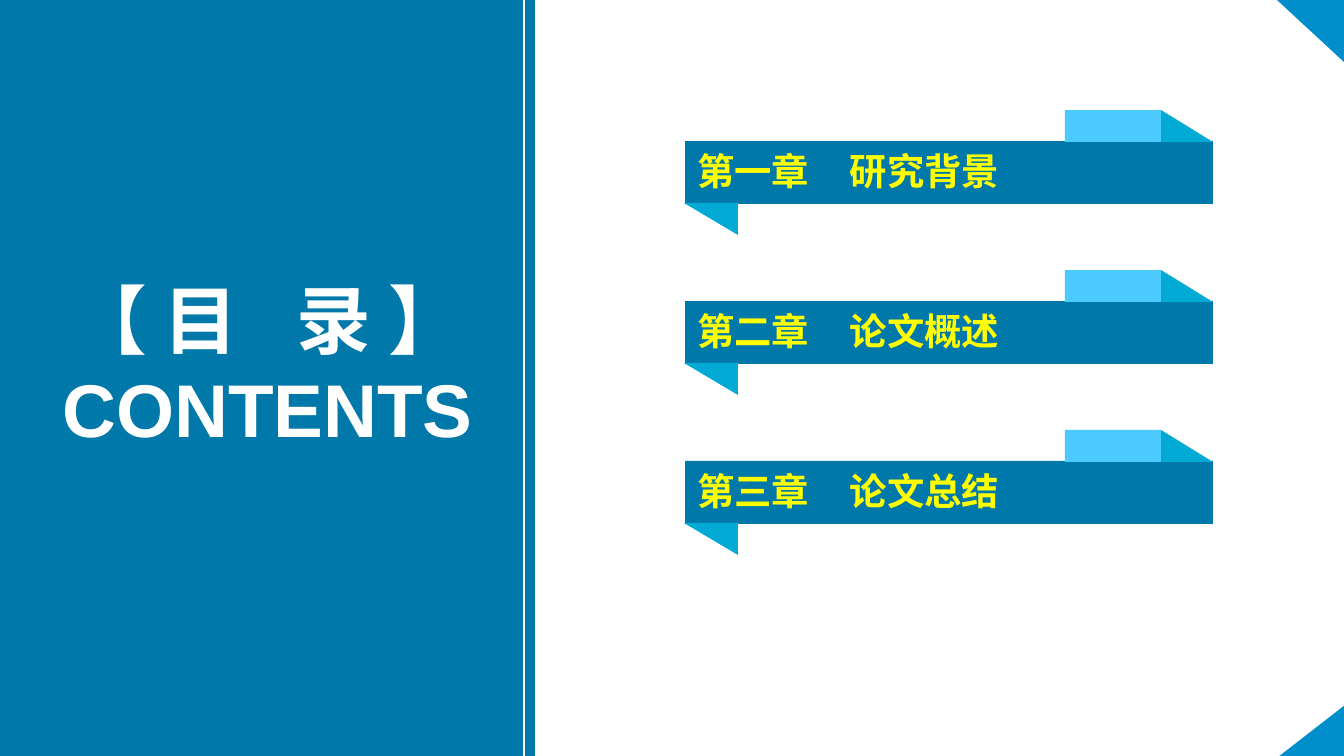
import pptx
import pptx.util
import pptx.dml.color
import pptx.enum.shapes
import pptx.enum.text
import pptx.oxml

RGB = pptx.dml.color.RGBColor
KIND = pptx.enum.shapes.MSO_SHAPE
ALIGN = pptx.enum.text.PP_ALIGN

DEEP = RGB(0x00, 0x78, 0xAA)
LIGHT = RGB(0x4B, 0xCA, 0xFF)
FOLD = RGB(0x00, 0xAA, 0xD4)
CORNER = RGB(0x00, 0x8F, 0xCA)
YELLOW = RGB(0xFF, 0xFF, 0x00)
WHITE = RGB(0xFF, 0xFF, 0xFF)

SCALE = 914400 / 134.4
WIDE, HIGH = 1344, 756
LEFT, TOP, STEP = 685, 141, 160
ITEMS = [("第一章", "研究背景"), ("第二章", "论文概述"), ("第三章", "论文总结")]


def px(*nums):
    """Turn pixel lengths into EMU."""
    return [pptx.util.Emu(round(n * SCALE)) for n in nums]


def shape(host, kind, box, fill, turn=0):
    """Add a flat filled shape."""
    item = host.shapes.add_shape(kind, *px(*box))
    item.shadow.inherit = False
    item.fill.solid()
    item.fill.fore_color.rgb = fill
    item.line.fill.background()
    item.rotation = turn


def text(host, box, lines, size=20, color=YELLOW, align=ALIGN.LEFT, gap=0):
    """Add bold lines whose parts are set apart by one widened space."""
    frame = host.shapes.add_textbox(*px(*box)).text_frame
    frame.word_wrap = True
    frame.auto_size = pptx.enum.text.MSO_AUTO_SIZE.SHAPE_TO_FIT_TEXT
    for row, parts in enumerate(lines):
        para = frame.paragraphs[0] if row == 0 else frame.add_paragraph()
        para.alignment = align
        for spot, part in enumerate(parts):
            for word in ([" ", part] if spot else [part]):
                run = para.add_run()
                run.text = word
                run.font.name = "Arial"
                run.font.size = pptx.util.Pt(size)
                run.font.bold = True
                run.font.color.rgb = color
                if word == " ":
                    run.font._element.set("spc", str(gap * 100))


def rule(slide, x, color, width):
    """Add a full-height vertical line."""
    line = slide.shapes.add_connector(
        pptx.enum.shapes.MSO_CONNECTOR.STRAIGHT, *px(x, 0, x, HIGH))
    line.line.color.rgb = color
    line.line.width = pptx.util.Pt(width)
    line._element.spPr.append(pptx.oxml.parse_xml(
        '<a:effectLst xmlns:a="http://schemas.openxmlformats.org/drawingml/2006/main"/>'))


def ribbon(slide, y, parts):
    """Add one folded chapter ribbon with its label."""
    group = slide.shapes.add_group_shape()
    shape(group, KIND.RECTANGLE, (LEFT, y, 528, 63), DEEP)
    shape(group, KIND.RECTANGLE, (LEFT + 380, y - 31, 96, 32), LIGHT)
    shape(group, KIND.RIGHT_TRIANGLE, (LEFT + 476, y - 31, 52, 32), FOLD)
    shape(group, KIND.RIGHT_TRIANGLE, (LEFT - 1, y + 62, 54, 32), FOLD, 180)
    text(group, (LEFT - 1, y + 1, 339, 59), [parts], gap=17)


def main():
    """Build the contents slide."""
    deck = pptx.Presentation()
    deck.slide_width, deck.slide_height = px(WIDE, HIGH)
    slide = deck.slides.add_slide(deck.slide_layouts[6])
    for row, parts in enumerate(ITEMS):
        ribbon(slide, TOP + row * STEP, parts)
    shape(slide, KIND.RECTANGLE, (0, 0, 535, HIGH), DEEP)
    text(slide, (0, 267, 535, 195), [("【 目", "录 】"), ("CONTENTS",)],
         size=40, color=WHITE, align=ALIGN.CENTER, gap=22)
    rule(slide, 524, WHITE, 1.5)
    shape(slide, KIND.RIGHT_TRIANGLE, (1277, 0, 67, 62), CORNER, 180)
    shape(slide, KIND.RIGHT_TRIANGLE, (1285, 698, 52, 67), CORNER, 270)
    deck.save("out.pptx")


if __name__ == "__main__":
    main()
